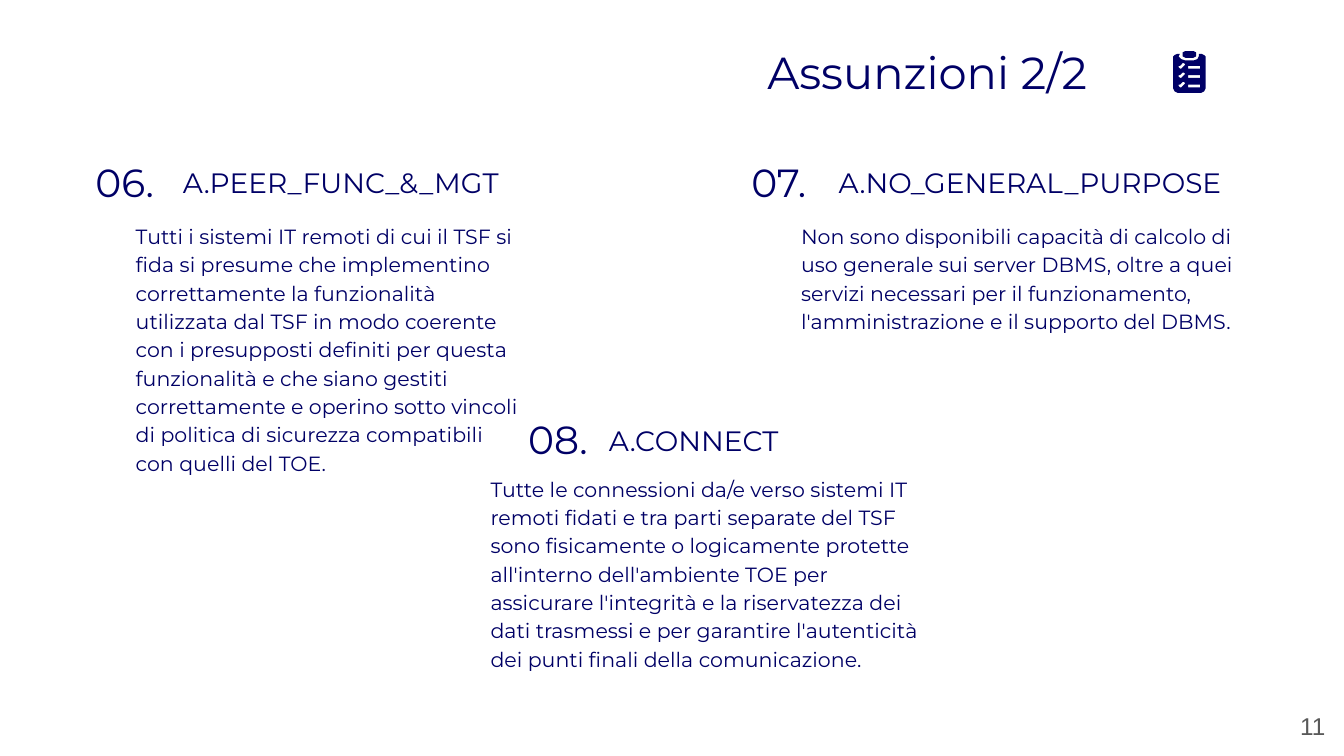
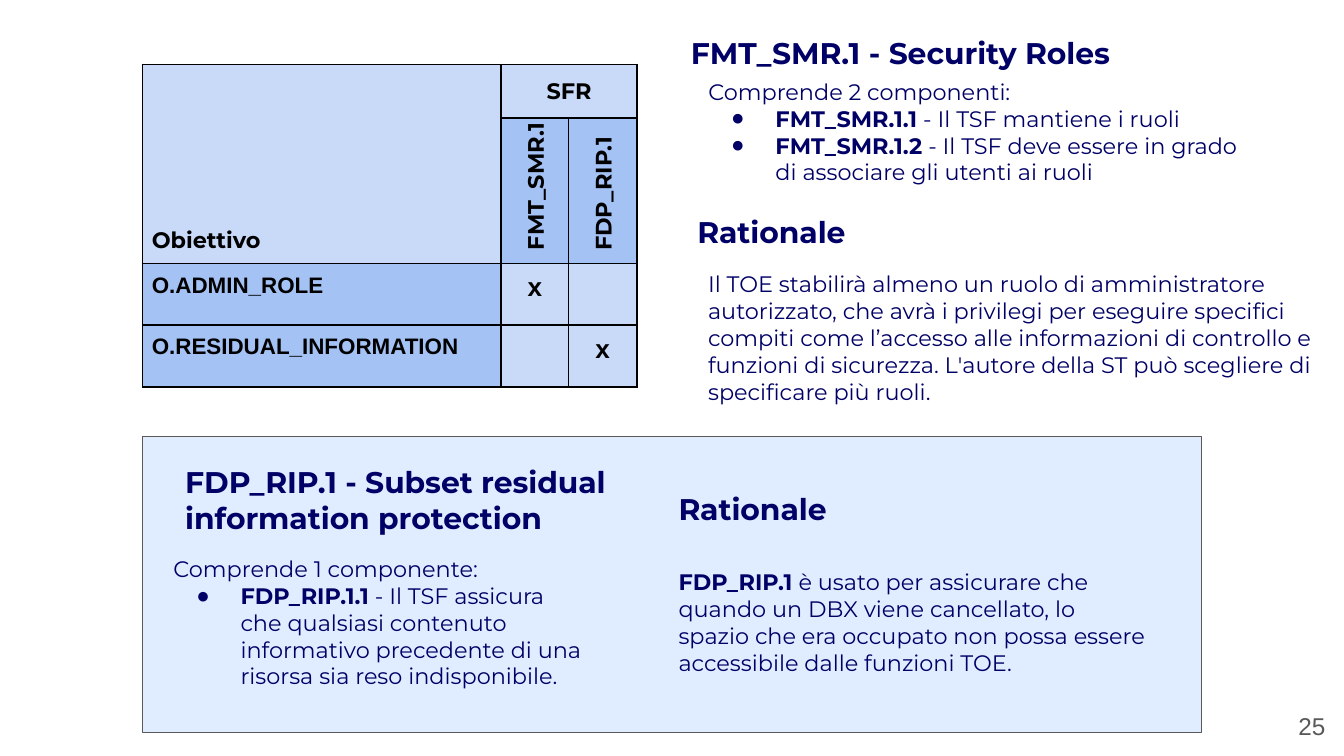
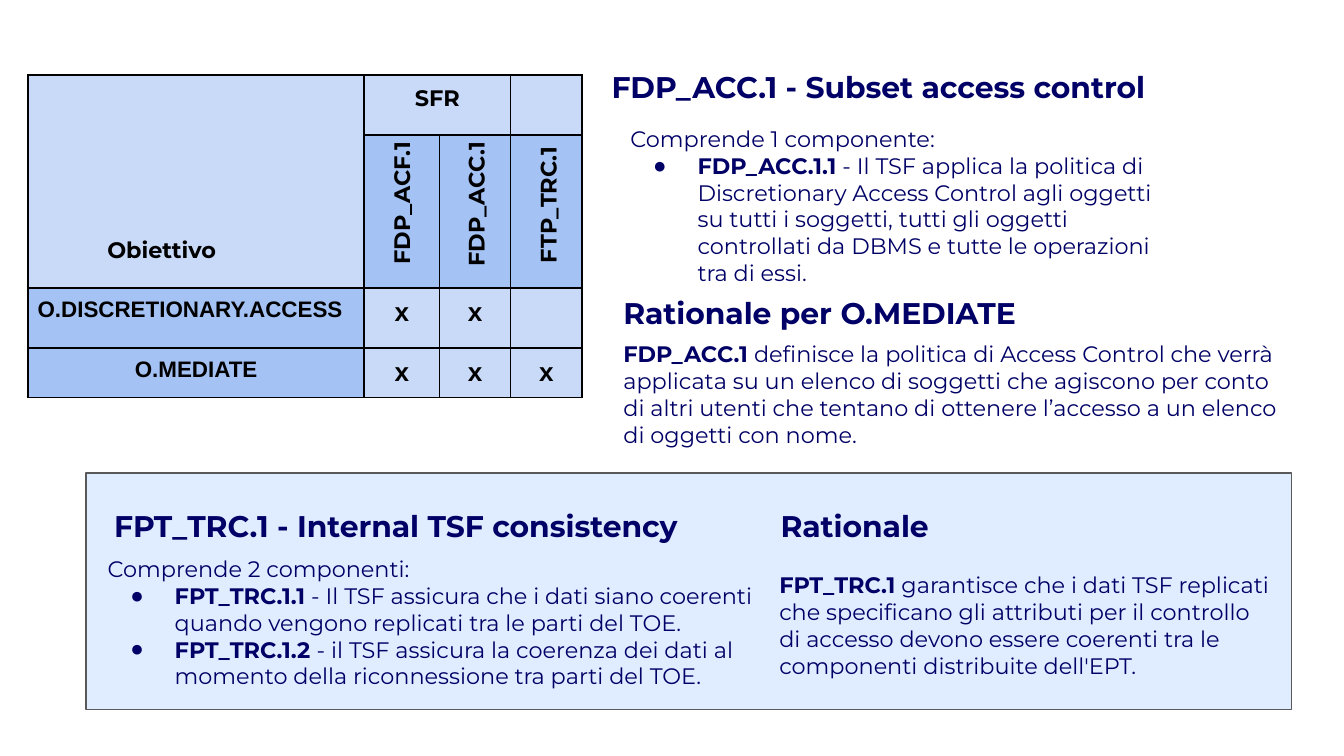
from lxml import etree
from pptx import Presentation
from pptx.dml.color import RGBColor
from pptx.enum import shapes, text
from pptx.oxml import ns
from pptx.util import Inches, Pt

NAVY = RGBColor(0x00, 0x00, 0x66)
BLACK = RGBColor(0x00, 0x00, 0x00)
GREY = RGBColor(0x59, 0x59, 0x59)
PANEL_BLUE = RGBColor(0xE0, 0xEC, 0xFF)
LIGHT_BLUE = RGBColor(0xC9, 0xDA, 0xF8)
MID_BLUE = RGBColor(0xA4, 0xC2, 0xF4)
SANS, ARIAL = "Montserrat", "Arial"
SLIDE_WIDTH = Inches(10)
SLIDE_HEIGHT = SLIDE_WIDTH * 9 // 16
CELL_MARGIN = 0.07
TITLE_ONLY, TWO_CONTENT = 5, 3
CENTER, RIGHT = text.PP_ALIGN.CENTER, text.PP_ALIGN.RIGHT

# Each assumption: number and its place, name and its place, body and its place
ASSUMPTIONS = [
    ("06.", (0.64, 1.14, 0.65, 0.43),
     "A.PEER_FUNC_&_MGT", (1.29, 1.19, 2.51, 0.33),
     "Tutti i sistemi IT remoti di cui il TSF si fida si presume che implementino "
     "correttamente la funzionalità utilizzata dal TSF in modo coerente con i presupposti "
     "definiti per questa funzionalità e che siano gestiti correttamente e operino sotto "
     "vincoli di politica di sicurezza compatibili con quelli del TOE.",
     (0.94, 1.6, 3, 2.19)),
    ("07.", (5.52, 1.14, 0.65, 0.43),
     "A.NO_GENERAL_PURPOSE", (6.17, 1.19, 3.19, 0.33),
     "Non sono disponibili capacità di calcolo di uso generale sui server DBMS, oltre a quei "
     "servizi necessari per il funzionamento, l'amministrazione e il supporto del DBMS.",
     (5.89, 1.6, 3.47, 1.11)),
    ("08.", (3.86, 3.05, 0.65, 0.43),
     "A.CONNECT", (4.46, 3.11, 1.59, 0.33),
     "Tutte le connessioni da/e verso sistemi IT remoti fidati e tra parti separate del TSF "
     "sono fisicamente o logicamente protette all'interno dell'ambiente TOE per assicurare "
     "l'integrità e la riservatezza dei dati trasmessi e per garantire l'autenticità dei "
     "punti finali della comunicazione.",
     (3.58, 3.48, 3.36, 1.98)),
]

# A tuple paragraph is a bold lead followed by plain text
REQUIREMENT_SLIDES = [
    {
        "title": ("FMT_SMR.1 - Security Roles", (5.04, 0.16, 3.41, 0.47)),
        "panel": (1.06, 3.25, 7.88, 2.2),
        "components": [
            (["Comprende 2 componenti:",
              ("FMT_SMR.1.1", " - Il TSF mantiene i ruoli"),
              ("FMT_SMR.1.2", " - Il TSF deve essere in grado di associare gli utenti ai ruoli")],
             (5.17, 0.48, 4.31, 1.01)),
            (["Comprende 1 componente:",
              ("FDP_RIP.1.1", " - Il TSF assicura che qualsiasi contenuto informativo "
                              "precedente di una risorsa sia reso indisponibile.")],
             (1.19, 4.03, 3.3, 1.21)),
        ],
        "headings": [
            ("Rationale", (5.09, 1.49, 1.72, 0.47)),
            ("FDP_RIP.1 - Subset residual information protection", (1.28, 3.35, 3.41, 0.74)),
            ("Rationale", (4.95, 3.55, 1.72, 0.47)),
        ],
        "rationales": [
            ("Il TOE stabilirà almeno un ruolo di amministratore autorizzato, che avrà i "
             "privilegi per eseguire specifici compiti come l’accesso alle informazioni di "
             "controllo e funzioni di sicurezza. L'autore della ST può scegliere di "
             "specificare più ruoli.", (5.17, 1.91, 4.82, 1.21)),
            (("FDP_RIP.1", " è usato per assicurare che quando un DBX viene cancellato, lo "
                           "spazio che era occupato non possa essere accessibile dalle "
                           "funzioni TOE."), (4.95, 4.13, 3.68, 1.01)),
        ],
        "matrix": {
            "at": (1.06, 0.48),
            "columns": [2.67, 0.5, 0.51],
            "rows": [0.4, 1.08, 0.46, 0.46],
            "corner": "Obiettivo",
            "sfr_anchor": text.MSO_ANCHOR.MIDDLE,
            "goals": [("O.ADMIN_ROLE", None, "x-"),
                      ("O.RESIDUAL_INFORMATION", None, "-x")],
        },
        "labels": [("FMT_SMR.1", (3.4, 1.18, 1.16, 0.4), 270),
                   ("FDP_RIP.1", (3.94, 1.22, 1.09, 0.4), 270)],
        "number": "25",
    },
    {
        "title": ("FDP_ACC.1 - Subset access control", (4.45, 0.41, 4.24, 0.47)),
        "panel": (0.64, 3.52, 8.97, 1.76),
        "components": [
            (["Comprende 1 componente:",
              ("FDP_ACC.1.1", " - Il TSF applica la politica di Discretionary Access Control "
                              "agli oggetti su tutti i soggetti, tutti gli oggetti controllati "
                              "da DBMS e tutte le operazioni tra di essi.")],
             (4.59, 0.83, 4.31, 1.41)),
            (["Comprende 2 componenti:",
              ("FPT_TRC.1.1", " - Il TSF assicura che i dati siano coerenti quando vengono "
                              "replicati tra le parti del TOE."),
              ("FPT_TRC.1.2 ", "- il TSF assicura la coerenza dei dati al momento della "
                               "riconnessione tra parti del TOE.")],
             (0.7, 4.03, 5.01, 1.21)),
        ],
        "headings": [
            ("Rationale per O.MEDIATE", (4.54, 2.09, 3.2, 0.47)),
            ("FPT_TRC.1 - Internal TSF consistency", (0.75, 3.68, 4.49, 0.47)),
            ("Rationale", (5.71, 3.68, 1.72, 0.47)),
        ],
        "rationales": [
            (("FDP_ACC.1", " definisce la politica di Access Control che verrà applicata su un "
                           "elenco di soggetti che agiscono per conto di altri utenti che "
                           "tentano di ottenere l’accesso a un elenco di oggetti con nome."),
             (4.54, 2.43, 5.16, 1.01)),
            (("FPT_TRC.1", " garantisce che i dati TSF replicati che specificano gli attributi "
                           "per il controllo di accesso devono essere coerenti tra le "
                           "componenti distribuite dell'EPT."), (5.7, 4.15, 3.87, 1.01)),
        ],
        "matrix": {
            "at": (0.21, 0.56),
            "columns": [2.5, 0.56, 0.53, 0.53],
            "rows": [0.37, 1.14, 0.37, 0.37],
            "corner": "",
            "sfr_anchor": text.MSO_ANCHOR.TOP,
            "goals": [("O.DISCRETIONARY.ACCESS", None, "xx-"),
                      ("O.MEDIATE", CENTER, "xxx")],
        },
        "labels": [("FDP_ACF.1", (2.29, 1.17, 1.39, 0.4), 270),
                   ("FDP_ACC.1", (2.83, 1.17, 1.42, 0.4), 270),
                   ("FTP_TRC.1", (3.53, 1.31, 1.09, 0.4), 270),
                   ("Obiettivo", (0.7, 1.66, 1.72, 0.4), 0)],
        "number": None,
    },
]

CLIP = [(8.82, 0.38), (8.88, 0.38), (8.9, 0.39), (8.9, 0.42), (8.88, 0.43),
        (8.82, 0.43), (8.8, 0.42), (8.8, 0.39)]
BOARD = [(8.94, 0.4), (8.92, 0.4), (8.92, 0.42), (8.91, 0.44), (8.88, 0.45), (8.82, 0.45),
         (8.79, 0.44), (8.77, 0.42), (8.78, 0.4), (8.76, 0.4), (8.74, 0.41), (8.73, 0.42),
         (8.73, 0.66), (8.74, 0.68), (8.76, 0.69), (8.94, 0.69), (8.96, 0.68), (8.97, 0.66),
         (8.97, 0.42), (8.96, 0.41)]
TICK = [(8.82, 0.48), (8.79, 0.51), (8.78, 0.51), (8.77, 0.5), (8.77, 0.49),
        (8.78, 0.49), (8.8, 0.47), (8.81, 0.47)]
ENTRY = [(8.84, 0.49), (8.93, 0.49), (8.93, 0.51), (8.84, 0.51)]
CHECK_ROWS, CHECK_PITCH = 3, 0.07


def inches(values):
    return [Inches(value) for value in values]


def add_bullet(paragraph):
    properties = paragraph._p.get_or_add_pPr()
    properties.set("marL", str(Inches(0.5)))
    properties.set("indent", str(-Inches(0.33)))
    color = etree.SubElement(properties, ns.qn("a:buClr"))
    etree.SubElement(color, ns.qn("a:srgbClr"), val=str(NAVY))
    etree.SubElement(properties, ns.qn("a:buFont"), typeface=ARIAL)
    etree.SubElement(properties, ns.qn("a:buChar"), char="●")


def remove_bullet(paragraph):
    properties = paragraph._p.get_or_add_pPr()
    properties.set("marL", "0")
    properties.set("indent", "0")
    etree.SubElement(properties, ns.qn("a:buNone"))


def write(frame, paragraphs, size=12, color=NAVY, font=SANS, bold=False,
          align=None, spacing=1.0, bullets=False):
    """Fill a frame; with bullets, each paragraph that has a bold lead gets one."""
    for index, content in enumerate(paragraphs):
        paragraph = frame.add_paragraph() if index else frame.paragraphs[0]
        paragraph.alignment = align or text.PP_ALIGN.LEFT
        paragraph.line_spacing = spacing
        paragraph.space_before = Pt(0)
        has_lead = isinstance(content, tuple)
        if bullets:
            (add_bullet if has_lead else remove_bullet)(paragraph)
        parts = zip(content, (True, False)) if has_lead else [(content, bold)]
        for words, is_bold in parts:
            run = paragraph.add_run()
            run.text = words
            run.font.size, run.font.name, run.font.bold = Pt(size), font, is_bold
            run.font.color.rgb = color


def place_text(shape, box, paragraphs, margins=(0.1, 0.1), **style):
    """Move a text box or placeholder to box and fill it; margins are side, top."""
    shape.left, shape.top, shape.width, shape.height = inches(box)
    frame = shape.text_frame
    frame.word_wrap = True
    frame.auto_size = text.MSO_AUTO_SIZE.NONE
    frame.vertical_anchor = text.MSO_ANCHOR.TOP
    frame.margin_left = frame.margin_right = Inches(margins[0])
    frame.margin_top = frame.margin_bottom = Inches(margins[1])
    write(frame, paragraphs, **style)


def add_text(slide, box, words, **style):
    shape = slide.shapes.add_textbox(*inches(box))
    place_text(shape, box, [words], **style)
    return shape


def add_number(slide, number):
    add_text(slide, (9.36, 5.19, 0.6, 0.43), number, size=13, font=ARIAL,
             color=GREY, align=RIGHT)


def add_outline(slide, contours):
    """Draw closed contours as one shape; inner contours become holes."""
    points = [[(Inches(x), Inches(y)) for x, y in contour] for contour in contours]
    builder = slide.shapes.build_freeform(*points[0][0])
    builder.add_line_segments(points[0][1:], close=True)
    for hole in points[1:]:
        builder.move_to(*hole[0])
        builder.add_line_segments(hole[1:], close=True)
    outline = builder.convert_to_shape()
    outline.shadow.inherit = False
    outline.fill.solid()
    outline.fill.fore_color.rgb = NAVY
    outline.line.fill.background()


def add_checklist_icon(slide):
    holes = [[(x, y + row * CHECK_PITCH) for x, y in mark]
             for row in range(CHECK_ROWS) for mark in (TICK, ENTRY)]
    add_outline(slide, [CLIP])
    add_outline(slide, [BOARD] + holes)


def add_panel(slide, box):
    panel = slide.shapes.add_shape(shapes.MSO_SHAPE.RECTANGLE, *inches(box))
    panel.shadow.inherit = False
    panel.fill.solid()
    panel.fill.fore_color.rgb = PANEL_BLUE
    panel.line.color.rgb = GREY
    panel.line.width = Pt(0.75)
    slide.shapes.element.insert(2, panel.element)  # behind the placeholders


def style_cell(cell, fill):
    cell.fill.solid()
    cell.fill.fore_color.rgb = fill
    cell.margin_left = cell.margin_right = Inches(CELL_MARGIN)
    cell.margin_top = cell.margin_bottom = Inches(CELL_MARGIN)
    properties = cell._tc.get_or_add_tcPr()
    for position, side in enumerate(("lnL", "lnR", "lnT", "lnB")):
        line = etree.Element(ns.qn(f"a:{side}"), w=str(Pt(1)))
        stroke = etree.SubElement(line, ns.qn("a:solidFill"))
        etree.SubElement(stroke, ns.qn("a:srgbClr"), val=str(BLACK))
        properties.insert(position, line)


def add_matrix(slide, matrix):
    """Table of goals against requirements, with an x where they meet."""
    columns, rows = matrix["columns"], matrix["rows"]
    size = (sum(columns), sum(rows))
    table = slide.shapes.add_table(len(rows), len(columns),
                                   *inches(matrix["at"] + size)).table
    table.first_row = table.horz_banding = False
    for column, width in zip(table.columns, columns):
        column.width = Inches(width)
    for row, height in zip(table.rows, rows):
        row.height = Inches(height)
    for r in range(len(rows)):
        for c in range(len(columns)):
            is_label = (r == 1 and c > 0) or (r > 1 and c == 0)
            style_cell(table.cell(r, c), MID_BLUE if is_label else LIGHT_BLUE)

    corner, sfr = table.cell(0, 0), table.cell(0, 1)
    corner.merge(table.cell(1, 0))
    sfr.merge(table.cell(0, 2))
    corner.vertical_anchor = text.MSO_ANCHOR.BOTTOM
    sfr.vertical_anchor = matrix["sfr_anchor"]
    strong = {"color": BLACK, "bold": True}
    if matrix["corner"]:
        write(corner.text_frame, [matrix["corner"]], **strong)
    write(sfr.text_frame, ["SFR"], align=CENTER, **strong)
    for r, (goal, align, marks) in enumerate(matrix["goals"], start=2):
        write(table.cell(r, 0).text_frame, [goal], font=ARIAL, align=align, **strong)
        for c, mark in enumerate(marks, start=1):
            if mark == "x":
                write(table.cell(r, c).text_frame, [mark], size=14, font=ARIAL,
                      align=CENTER, **strong)


def build_assumptions(deck):
    slide = deck.slides.add_slide(deck.slide_layouts[TITLE_ONLY])
    tight = {"margins": (0.07, 0.04)}
    place_text(slide.shapes.title, (5.64, 0.29, 3, 0.48), ["Assunzioni 2/2"], size=24, **tight)
    for number, number_box, name, name_box, body, body_box in ASSUMPTIONS:
        add_text(slide, number_box, number, size=21, **tight)
        add_text(slide, name_box, name, size=15, **tight)
        add_text(slide, body_box, body, size=11, spacing=1.15, **tight)
    add_checklist_icon(slide)
    add_number(slide, "11")


def build_requirements(deck, content):
    slide = deck.slides.add_slide(deck.slide_layouts[TWO_CONTENT])
    heading_style = {"size": 16, "bold": True}
    add_panel(slide, content["panel"])
    title, title_box = content["title"]
    place_text(slide.shapes.title, title_box, [title], **heading_style)
    for index, (components, box) in enumerate(content["components"], start=1):
        place_text(slide.placeholders[index], box, components, bullets=True)
    add_matrix(slide, content["matrix"])
    for label, box, rotation in content["labels"]:
        add_text(slide, box, label, color=BLACK, bold=True).rotation = rotation
    for heading, box in content["headings"]:
        add_text(slide, box, heading, **heading_style)
    for rationale, box in content["rationales"]:
        add_text(slide, box, rationale)
    if content["number"]:
        add_number(slide, content["number"])


def main():
    deck = Presentation()
    deck.slide_width, deck.slide_height = SLIDE_WIDTH, SLIDE_HEIGHT
    build_assumptions(deck)
    for content in REQUIREMENT_SLIDES:
        build_requirements(deck, content)
    deck.save("out.pptx")


if __name__ == "__main__":
    main()
